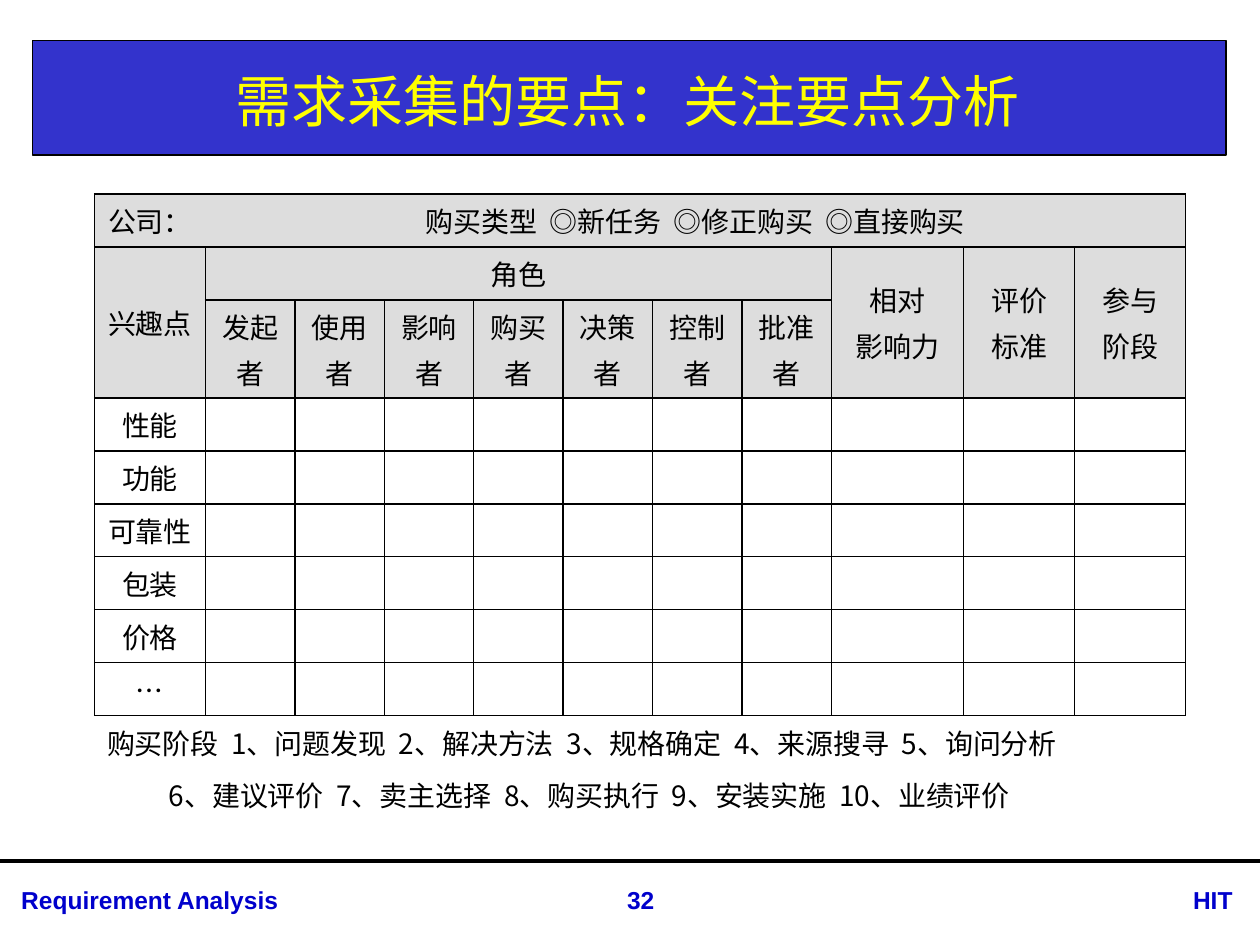
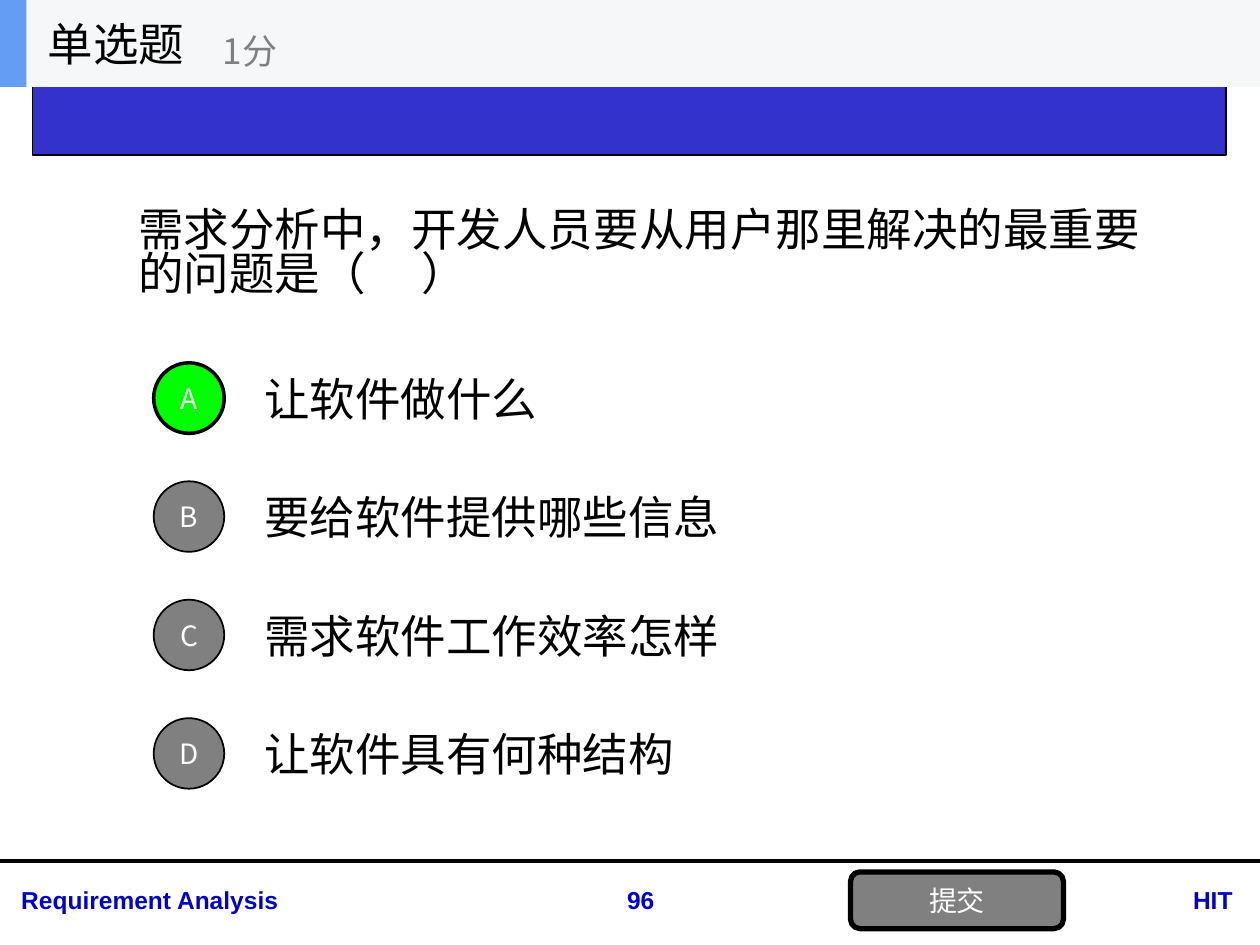
"""Build two lecture slides: a purchase focus table and a single-choice question."""
from lxml import etree
from pptx import Presentation
from pptx import util as u
from pptx.dml.color import RGBColor
from pptx.enum import shapes, text
from pptx.oxml import ns

CJK, LATIN = "Noto Sans CJK SC", "Arial"
BLACK, WHITE, GRAY = "000000", "FFFFFF", "808080"
BAND, TITLE, FOOTER, HEAD = "3333CC", "FFFF00", "0000CC", "DDDDDD"
LEFT, CENTER = text.PP_ALIGN.LEFT, text.PP_ALIGN.CENTER
RECT = shapes.MSO_SHAPE.RECTANGLE

FOCUS_TITLE = "需求采集的要点：关注要点分析"
ROLES = ["发起\n者", "使用\n者", "影响\n者", "购买\n者", "决策\n者", "控制\n者", "批准\n者"]
MEASURES = ["相对\n影响力", "评价\n标准", "参与\n阶段"]
INTERESTS = ["性能", "功能", "可靠性", "包装", "价格", "…"]
STAGES = [
    ("购买阶段  1、问题发现  2、解决方法  3、规格确定  4、来源搜寻  5、询问分析", 0.1),
    ("6、建议评价  7、卖主选择  8、购买执行  9、安装实施  10、业绩评价", 0.59),
]
COL_WIDTHS = [0.88] + [0.71] * 7 + [1.05, 0.88, 0.88]
ROW_HEIGHTS = [0.42, 0.42, 0.78] + [0.42] * 8
HEAD_ROWS = 3
GRID_ROWS = HEAD_ROWS + len(INTERESTS)

QUESTION = "需求分析中，开发人员要从用户那里解决的最重要的问题是（　 ）"
OPTIONS = ["让软件做什么", "要给软件提供哪些信息", "需求软件工作效率怎样", "让软件具有何种结构"]
CORRECT = 0


def rgb(value):
    return RGBColor.from_string(value)


def write(tf, content, size=16, color=BLACK, font=CJK, bold=False, align=LEFT,
          after=0, spacing=None):
    for i, line in enumerate(content.split("\n")):
        p = tf.paragraphs[0] if i == 0 else tf.add_paragraph()
        p.alignment = align
        if after:
            p.space_after = u.Pt(after)
        if spacing:
            p.line_spacing = spacing
        r = p.add_run()
        r.text = line
        r.font.size, r.font.bold, r.font.name = u.Pt(size), bold, font
        r.font.color.rgb = rgb(color)
        ea = etree.SubElement(r.font._element, ns.qn("a:ea"))
        ea.set("typeface", font)


def add_text(s, box, content, anchor=text.MSO_ANCHOR.MIDDLE, **fmt):
    tf = s.shapes.add_textbox(*map(u.Inches, box)).text_frame
    tf.word_wrap = True
    tf.vertical_anchor = anchor
    write(tf, content, **fmt)


def add_box(s, kind, box, fill, line=0, label=None):
    sp = s.shapes.add_shape(kind, *map(u.Inches, box))
    sp.shadow.inherit = False
    sp.fill.solid()
    sp.fill.fore_color.rgb = rgb(fill)
    if line:
        sp.line.color.rgb = rgb(BLACK)
        sp.line.width = u.Pt(line)
    else:
        sp.line.fill.background()
    if label:
        tf = sp.text_frame
        tf.margin_left = tf.margin_right = tf.margin_top = tf.margin_bottom = 0
        tf.vertical_anchor = text.MSO_ANCHOR.MIDDLE
        write(tf, label, color=WHITE, align=CENTER)


def add_slide(prs, number):
    s = prs.slides.add_slide(prs.slide_layouts[6])
    add_box(s, RECT, (0.26, 0.32, 9.47, 0.91), BAND, line=0.75)
    rule = s.shapes.add_connector(shapes.MSO_CONNECTOR.STRAIGHT, 0, u.Inches(6.83),
                                  prs.slide_width, u.Inches(6.83))
    rule.line.color.rgb = rgb(BLACK)
    rule.line.width = u.Pt(2.25)
    etree.SubElement(rule._element.spPr, ns.qn("a:effectLst"))
    for left, width, label, align in [(0.07, 2.91, "Requirement Analysis", LEFT),
                                      (9.37, 0.69, "HIT", LEFT),
                                      (4.57, 1.03, str(number), CENTER)]:
        add_text(s, (left, 6.97, width, 0.34), label, size=14, color=FOOTER,
                 font=LATIN, bold=True, align=align)
    return s


def set_borders(cell, sides):
    tcPr = cell._tc.get_or_add_tcPr()
    for i, side in enumerate("LRTB"):
        ln = etree.Element(ns.qn("a:ln" + side), w=str(u.Pt(1)))
        if side in sides:
            fill = etree.SubElement(ln, ns.qn("a:solidFill"))
            etree.SubElement(fill, ns.qn("a:srgbClr"), val=BLACK)
        else:
            etree.SubElement(ln, ns.qn("a:noFill"))
        tcPr.insert(i, ln)


def border_sides(row, col):
    if row >= GRID_ROWS:
        return "T" if row == GRID_ROWS else ""
    if row == 0 and col < 2:
        return "LTB" if col == 0 else "RTB"
    return "LRTB"


def add_focus_table(s):
    rows, cols = len(ROW_HEIGHTS), len(COL_WIDTHS)
    table = s.shapes.add_table(rows, cols, u.Inches(0.75), u.Inches(1.54),
                               u.Inches(sum(COL_WIDTHS)),
                               u.Inches(sum(ROW_HEIGHTS))).table
    table.first_row = table.horz_banding = False
    for column, width in zip(table.columns, COL_WIDTHS):
        column.width = u.Inches(width)
    for row, height in zip(table.rows, ROW_HEIGHTS):
        row.height = u.Inches(height)
    for r in range(rows):
        for c in range(cols):
            cell = table.cell(r, c)
            cell.vertical_anchor = text.MSO_ANCHOR.MIDDLE
            if r < HEAD_ROWS:
                cell.fill.solid()
                cell.fill.fore_color.rgb = rgb(HEAD)
            else:
                cell.fill.background()
            set_borders(cell, border_sides(r, c))

    last_role = len(ROLES)
    labels = {(0, 0): "公司：", (0, 1): "购买类型  ◎新任务  ◎修正购买  ◎直接购买",
              (1, 0): "兴趣点", (1, 1): "角色"}
    labels.update({(2, c): role for c, role in enumerate(ROLES, 1)})
    labels.update({(1, c): name for c, name in enumerate(MEASURES, last_role + 1)})
    labels.update({(r, 0): name for r, name in enumerate(INTERESTS, HEAD_ROWS)})
    spans = [((0, 1), (0, cols - 1)), ((1, 1), (1, last_role))]
    spans += [((1, c), (2, c)) for c in [0, *range(last_role + 1, cols)]]
    spans += [((r, 0), (r, cols - 1)) for r in range(GRID_ROWS, rows)]
    for start, end in spans:
        table.cell(*start).merge(table.cell(*end))
    for place, label in labels.items():
        write(table.cell(*place).text_frame, label, align=CENTER, after=3.2)
    for r, (stage, indent) in enumerate(STAGES, GRID_ROWS):
        cell = table.cell(r, 0)
        cell.margin_left = u.Inches(indent)
        write(cell.text_frame, stage, after=3.2)


def build_focus(prs):
    s = add_slide(prs, 32)
    add_text(s, (0.26, 0.36, 9.45, 0.87), FOCUS_TITLE, size=32, color=TITLE, align=CENTER)
    add_focus_table(s)


def build_question(prs):
    s = add_slide(prs, 96)
    add_text(s, (1, 1.09, 8.47, 1.87), QUESTION, size=26, spacing=0.82)
    for i, option in enumerate(OPTIONS):
        top = 2.81 + i * 0.94
        add_text(s, (2, top, 7, 0.7), option, size=26)
        add_box(s, shapes.MSO_SHAPE.OVAL, (1.22, top + 0.07, 0.56, 0.56),
                "00FF00" if i == CORRECT else GRAY, line=2 if i == CORRECT else 1,
                label="ABCD"[i])
    add_box(s, shapes.MSO_SHAPE.ROUNDED_RECTANGLE, (6.75, 6.92, 1.69, 0.45), GRAY,
            line=3, label="提交")
    add_box(s, RECT, (0, 0, 10, 0.69), "F6F7F8")
    add_box(s, RECT, (0, 0, 0.21, 0.69), "639EF4")
    add_text(s, (0.28, 0, 2.08, 0.69), "单选题", size=26)
    add_text(s, (1.67, 0.12, 2.5, 0.56), "1分", size=20, color=GRAY)


def main():
    prs = Presentation()
    prs.slide_width, prs.slide_height = u.Inches(10), u.Inches(7.5)
    build_focus(prs)
    build_question(prs)
    prs.save("out.pptx")


if __name__ == "__main__":
    main()
